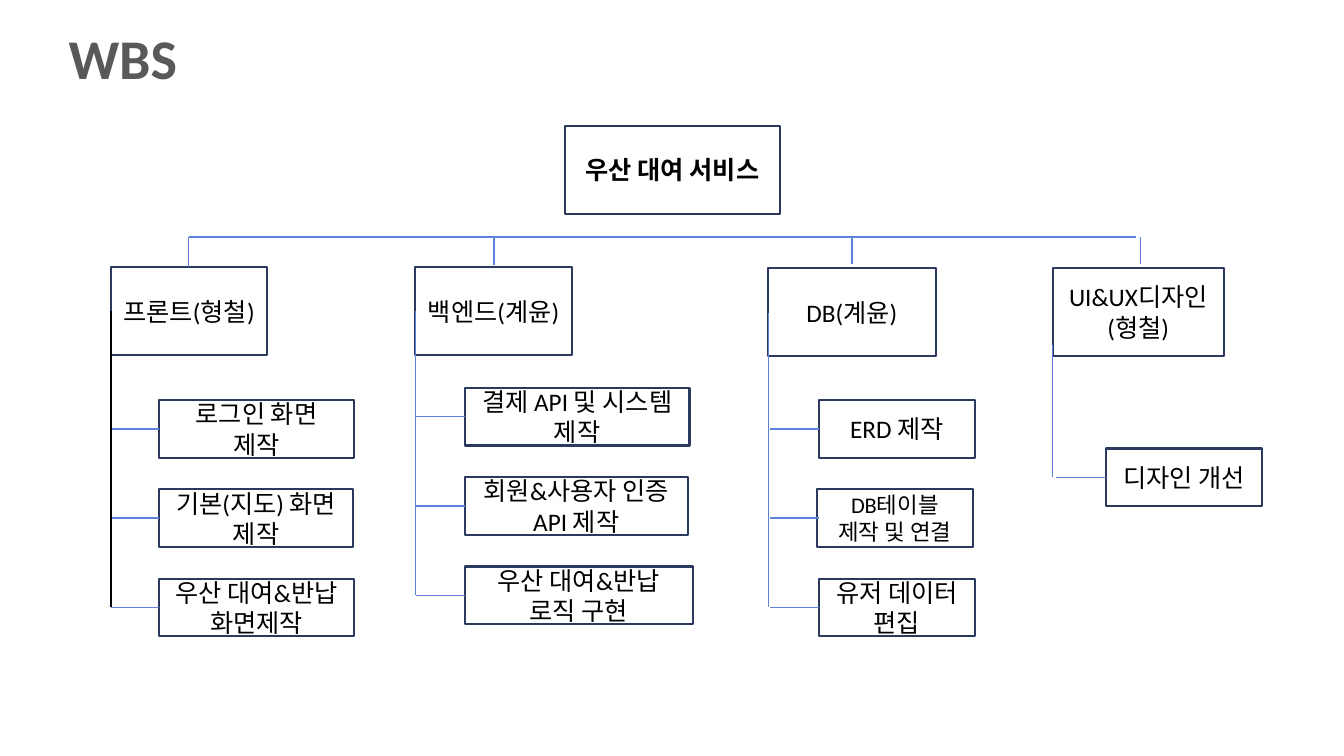
from dataclasses import dataclass

from lxml import etree
from pptx import Presentation
from pptx.dml.color import RGBColor
from pptx.enum.shapes import MSO_CONNECTOR, MSO_SHAPE
from pptx.enum.text import MSO_ANCHOR, PP_ALIGN
from pptx.oxml.ns import qn
from pptx.slide import Slide
from pptx.text.text import TextFrame
from pptx.util import Inches, Pt

RECTANGLE = MSO_SHAPE.RECTANGLE
STRAIGHT = MSO_CONNECTOR.STRAIGHT
MIDDLE = MSO_ANCHOR.MIDDLE
LEFT, CENTER = PP_ALIGN.LEFT, PP_ALIGN.CENTER

WHITE = RGBColor(0xFF, 0xFF, 0xFF)
BLACK = RGBColor(0x00, 0x00, 0x00)
GRAY = RGBColor(0x59, 0x59, 0x59)
NAVY = RGBColor(0x2B, 0x39, 0x5E)
BLUE = RGBColor(0x5E, 0x81, 0xD9)

FONT = "Calibri"
HEAD_HEIGHT = 0.87
TASK_HEIGHT = 0.57
TASK_STEP = 0.885
BUS_Y = 2.35
BUS_LEFT, BUS_RIGHT = 1.87, 11.27


@dataclass(frozen=True)
class Task:
    lines: tuple[str, ...]
    left: float
    width: float
    size: int = 18


@dataclass(frozen=True)
class Branch:
    lines: tuple[str, ...]
    left: float
    top: float
    width: float
    stem_x: float
    stem_bottom: float
    trunk_top: float
    joint_left: float
    joint_right: float
    tasks_top: float
    tasks: tuple[Task, ...]
    trunk_color: RGBColor = BLUE


BRANCHES = (
    Branch(("프론트(형철)",), 1.1, 2.65, 1.55, 1.87, 2.65, 3.09, 1.1, 1.58, 3.97, (
        Task(("로그인 화면", "제작"), 1.58, 1.93),
        Task(("기본(지도) 화면 제작",), 1.58, 1.92),
        Task(("우산 대여&반납 화면제작",), 1.58, 1.93),
    ), BLACK),
    Branch(("백엔드(계윤)",), 4.12, 2.65, 1.55, 4.9, 2.63, 3.09, 4.13, 4.61, 3.85, (
        Task(("결제 API 및 시스템 제작",), 4.61, 2.23),
        Task(("회원&사용자 인증API 제작",), 4.61, 2.21),
        Task(("우산 대여&반납 로직 구현",), 4.61, 2.26),
    )),
    Branch(("DB(계윤)",), 7.62, 2.66, 1.66, 8.45, 2.62, 3.11, 7.64, 8.12, 3.97, (
        Task(("ERD 제작",), 8.12, 1.55),
        Task(("DB테이블", "제작 및 연결"), 8.1, 1.55, 16),
        Task(("유저 데이터 편집",), 8.12, 1.55),
    )),
    Branch(("UI&UX디자인", "(형철)"), 10.44, 2.66, 1.7, 11.31, 2.62, 3.42,
           10.47, 10.97, 4.45, (Task(("디자인 개선",), 10.97, 1.55),)),
)


def write_lines(frame: TextFrame, lines: tuple[str, ...], size: int,
                color: RGBColor, bold: bool, align: PP_ALIGN) -> None:
    frame.word_wrap = True
    frame.vertical_anchor = MIDDLE
    for index, line in enumerate(lines):
        para = frame.add_paragraph() if index else frame.paragraphs[0]
        para.alignment = align
        span = para.add_run()
        span.text = line
        span.font.name = FONT
        span.font.size = Pt(size)
        span.font.bold = bold
        span.font.color.rgb = color


def add_box(page: Slide, lines: tuple[str, ...], left: float, top: float,
            width: float, height: float, size: int = 18, bold: bool = False) -> None:
    box = page.shapes.add_shape(RECTANGLE, Inches(left), Inches(top),
                                Inches(width), Inches(height))
    box.shadow.inherit = False
    box.fill.solid()
    box.fill.fore_color.rgb = WHITE
    box.line.color.rgb = NAVY
    box.line.width = Pt(1.5)
    write_lines(box.text_frame, lines, size, BLACK, bold, CENTER)


def add_line(page: Slide, x1: float, y1: float, x2: float, y2: float,
             color: RGBColor = BLUE) -> None:
    line = page.shapes.add_connector(STRAIGHT, Inches(x1), Inches(y1),
                                     Inches(x2), Inches(y2))
    line.line.color.rgb = color
    line.line.width = Pt(1)
    etree.SubElement(line._element.spPr, qn("a:effectLst"))


def add_branch(page: Slide, branch: Branch) -> None:
    add_box(page, branch.lines, branch.left, branch.top, branch.width, HEAD_HEIGHT)
    add_line(page, branch.stem_x, branch.stem_bottom, branch.stem_x, BUS_Y)

    # Tasks, each joined to the trunk at its middle
    middle = branch.tasks_top
    for index, task in enumerate(branch.tasks):
        top = branch.tasks_top + index * TASK_STEP
        middle = top + TASK_HEIGHT / 2
        add_box(page, task.lines, task.left, top, task.width, TASK_HEIGHT, task.size)
        add_line(page, branch.joint_left, middle, branch.joint_right, middle)

    # Trunk down to the last task
    add_line(page, branch.left, branch.trunk_top, branch.left, middle,
             branch.trunk_color)


def main() -> None:
    deck = Presentation()
    deck.slide_width, deck.slide_height = Inches(13.33), Inches(7.5)
    page = deck.slides.add_slide(deck.slide_layouts[5])

    # Title
    title = page.shapes.title
    title.left, title.top = Inches(0.58), Inches(0.13)
    title.width, title.height = Inches(11.17), Inches(0.87)
    write_lines(title.text_frame, ("WBS",), 40, GRAY, True, LEFT)

    # Root and the bus below it
    add_box(page, ("우산 대여 서비스",), 5.6, 1.25, 2.14, HEAD_HEIGHT, bold=True)
    add_line(page, BUS_LEFT, BUS_Y, BUS_RIGHT, BUS_Y)

    # Work branches
    for branch in BRANCHES:
        add_branch(page, branch)

    deck.save("out.pptx")


if __name__ == "__main__":
    main()
